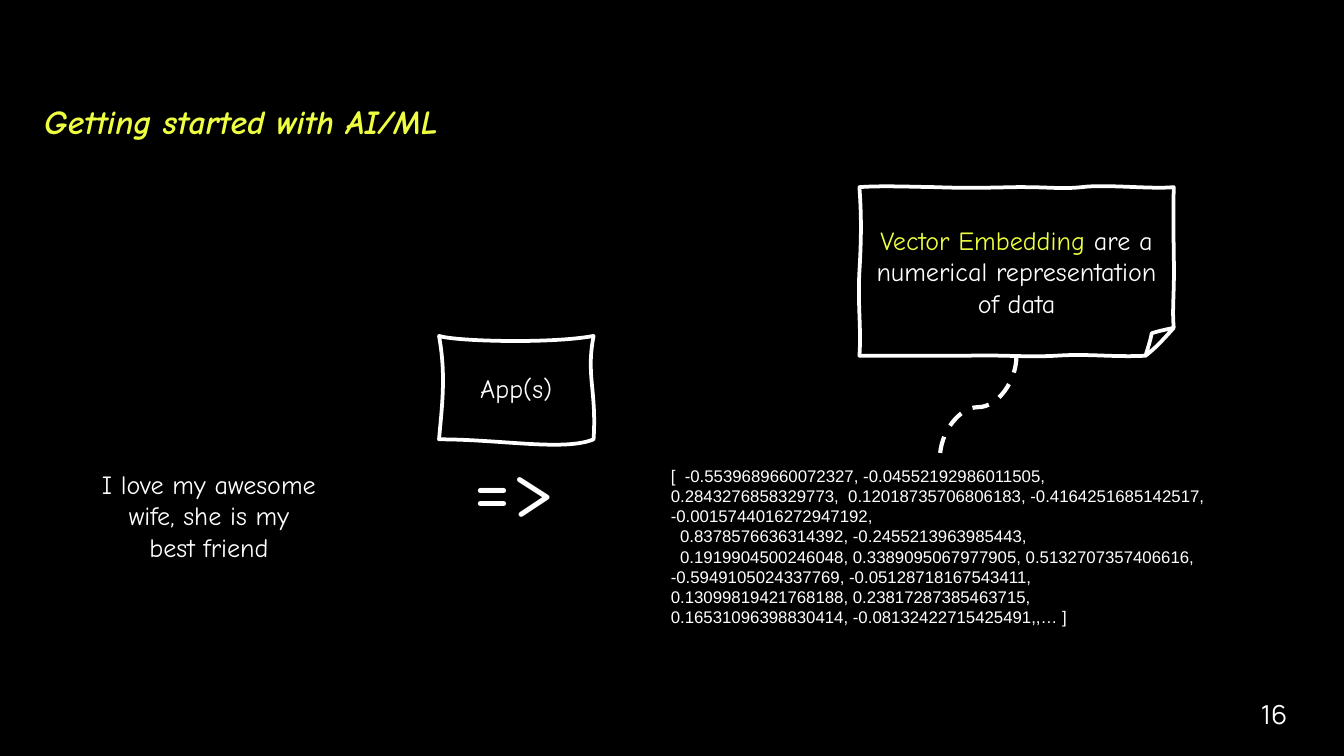
"""Build the slide that introduces vector embeddings."""
import copy
import pptx
import pptx.util
import pptx.dml.color
import pptx.enum.dml
import pptx.enum.shapes
import pptx.enum.text
import pptx.oxml
import pptx.oxml.ns

Pt = pptx.util.Pt
Align = pptx.enum.text.PP_ALIGN
Anchor = pptx.enum.text.MSO_ANCHOR
qn = pptx.oxml.ns.qn

THEME = {
    "ink": "FFFFFF", "accent": "EEFF41", "back": "000000",
    "hand": "Comic Neue", "plain": "Arial", "page": "Manrope",
    "title": 18, "body": 14, "data": 9, "sign": 44,
    "line": 2, "dash": 2.25,
}
TITLE = {"at": (16.5, 43.2, 494.6, 47.5), "size": "title", "pad": 7.2,
         "paras": [[("Getting started with AI/ML", "accent")]]}
TEXTS = [
    {"at": (661, 367.2, 43.2, 31), "font": "page", "align": Align.CENTER,
     "anchor": Anchor.MIDDLE, "pad": 7.2, "paras": [[("16", "ink")]]},
    {"at": (352.3, 245.8, 302.4, 94.3), "font": "plain", "size": "data", "paras": [
        [("[  -0.5539689660072327, -0.04552192986011505, 0.2843276858329773,  "
          "0.12018735706806183, -0.4164251685142517, -0.0015744016272947192,", "ink")],
        [("  0.8378576636314392, -0.2455213963985443,", "ink")],
        [("  0.1919904500246048, 0.3389095067977905, 0.5132707357406616,  "
          "-0.5949105024337769, -0.05128718167543411,  0.13099819421768188, "
          "0.23817287385463715, 0.16531096398830414, -0.08132422715425491,,… ]", "ink")]]},
    {"at": (47.5, 247.4, 128.9, 74.9), "align": Align.CENTER,
     "paras": [[("I love my awesome wife, she is my best friend", "ink")]]},
    {"at": (246.8, 229.7, 82.8, 60.5), "size": "sign", "paras": [[("=>", "ink")]]},
]
SKETCHES = [
    {"start": (235.2, 180), "close": True, "paras": [[("App(s)", "ink")]], "curves": [
        (244.1, 182.9, 295.2, 184.3, 318, 180),
        (313.9, 201.6, 319.7, 208.8, 318, 235.4),
        (302.4, 241.9, 268.6, 235.4, 235.2, 235.4),
        (236.9, 216.7, 239, 200.9, 235.2, 180)]},
    {"start": (613.7, 190.6), "close": False, "fill": "back", "paras": [
        [("Vector Embedding ", "accent"),
         ("are a numerical representation of data", "ink")]], "curves": [
        (614.9, 186.5, 616.3, 182.5, 617, 178.6),
        (619.2, 177.8, 625, 176.4, 628.8, 175.7),
        (624.2, 180.7, 619.9, 185.8, 613.7, 190.6),
        (595.4, 191.5, 583.2, 189.4, 565.9, 190.6),
        (547.9, 191.5, 540, 190.1, 517.7, 190.6),
        (495.4, 190.6, 478.1, 190.6, 460.4, 190.6),
        (461.5, 176.4, 459.4, 163.4, 460.4, 145.4),
        (461.5, 127.4, 461.5, 115.2, 460.4, 100.3),
        (472.3, 99.4, 487.4, 100.1, 501.1, 100.3),
        (514.8, 100.8, 522.7, 100.8, 542.9, 100.3),
        (563, 100.1, 567.4, 101.5, 579.6, 100.3),
        (591.8, 98.6, 617, 101.5, 628.8, 100.3),
        (628.6, 108.7, 628.6, 118.8, 628.8, 137.5),
        (629.3, 156.2, 627.8, 165.6, 628.8, 175.7)]},
]
LINK = {"from": (544.5, 190.8), "to": (503.5, 245.5)}


def tint(name):
    return pptx.dml.color.RGBColor.from_string(THEME[name])


def place(shape, at):
    shape.left, shape.top, shape.width, shape.height = map(Pt, at)


def write(shape, item, anchor=Anchor.TOP, align=Align.LEFT):
    frame = shape.text_frame
    frame.word_wrap = True
    frame.auto_size = pptx.enum.text.MSO_AUTO_SIZE.NONE
    frame.vertical_anchor = item.get("anchor", anchor)
    frame.margin_left = frame.margin_right = Pt(7.2)
    frame.margin_top = frame.margin_bottom = Pt(item.get("pad", 3.6))
    for num, parts in enumerate(item["paras"]):
        para = frame.add_paragraph() if num else frame.paragraphs[0]
        para.alignment = item.get("align", align)
        for text, color in parts:
            run = para.add_run()
            run.text = text
            run.font.name = THEME[item.get("font", "hand")]
            run.font.size = Pt(THEME[item.get("size", "body")])
            run.font.color.rgb = tint(color)


def bend(shape, curves):
    sides = list(shape._element.iter(qn("a:lnTo")))
    for side, curve in zip(sides, curves):
        side.tag = qn("a:cubicBezTo")
        for spot in (0, 1):
            x, y = curve[2 * spot:2 * spot + 2]
            knot = copy.deepcopy(side[-1])
            knot.set("x", str(Pt(x) - shape.left))
            knot.set("y", str(Pt(y) - shape.top))
            side.insert(spot, knot)


def sketch(slide, item):
    pen = slide.shapes.build_freeform(*map(Pt, item["start"]))
    ends = [tuple(map(Pt, curve[4:])) for curve in item["curves"]]
    pen.add_line_segments(ends, close=item["close"])
    shape = pen.convert_to_shape()
    bend(shape, item["curves"])
    shape.shadow.inherit = False
    if "fill" in item:
        shape.fill.solid()
        shape.fill.fore_color.rgb = tint(item["fill"])
    else:
        shape.fill.background()
    shape.line.color.rgb = tint("ink")
    shape.line.width = Pt(THEME["line"])
    write(shape, item, Anchor.MIDDLE, Align.CENTER)


def link(slide):
    (x1, y1), (x2, y2) = LINK["from"], LINK["to"]
    mid_x, mid_y = (x1 + x2) / 2, (y1 + y2) / 2
    half_w, half_h = (y2 - y1) / 2, (x1 - x2) / 2
    ends = (mid_x - half_w, mid_y - half_h, mid_x + half_w, mid_y + half_h)
    curve = slide.shapes.add_connector(
        pptx.enum.shapes.MSO_CONNECTOR.CURVE, *map(Pt, ends))
    curve.line.color.rgb = tint("ink")
    curve.line.width = Pt(THEME["dash"])
    curve.line.dash_style = pptx.enum.dml.MSO_LINE.DASH
    props = curve._element.spPr
    props.xfrm.set("rot", "5400000")
    props.append(pptx.oxml.parse_xml(
        '<a:effectLst xmlns:a="http://schemas.openxmlformats.org/drawingml/2006/main"/>'))


def main():
    deck = pptx.Presentation()
    deck.slide_width, deck.slide_height = Pt(720), Pt(405)
    slide = deck.slides.add_slide(deck.slide_layouts[5])
    slide.background.fill.solid()
    slide.background.fill.fore_color.rgb = tint("back")

    title = slide.shapes.title
    place(title, TITLE["at"])
    write(title, TITLE, Anchor.MIDDLE)
    para = title.text_frame.paragraphs[0]
    para.line_spacing = 0.8
    for run in para.runs:
        run.font.bold = run.font.italic = True

    for item in SKETCHES:
        sketch(slide, item)
    for item in TEXTS:
        write(slide.shapes.add_textbox(*map(Pt, item["at"])), item)
    link(slide)
    deck.save("out.pptx")


if __name__ == "__main__":
    main()
